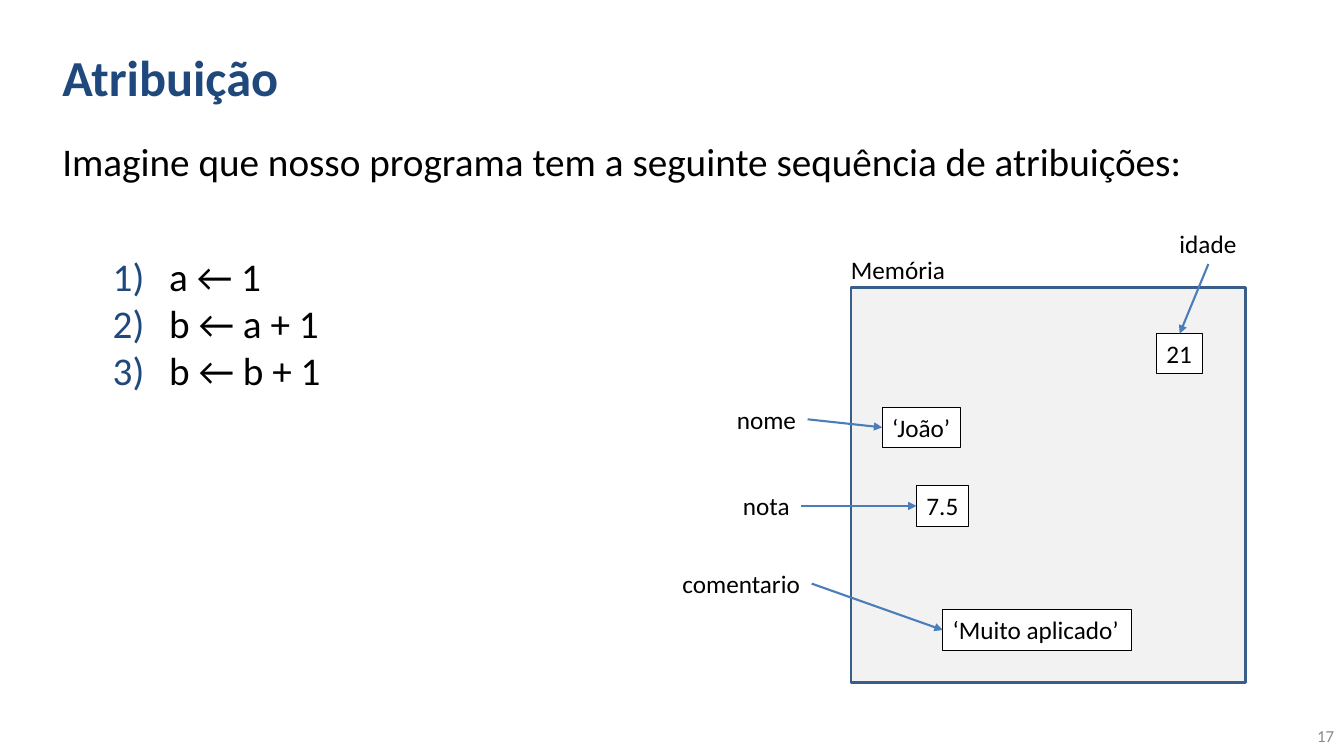
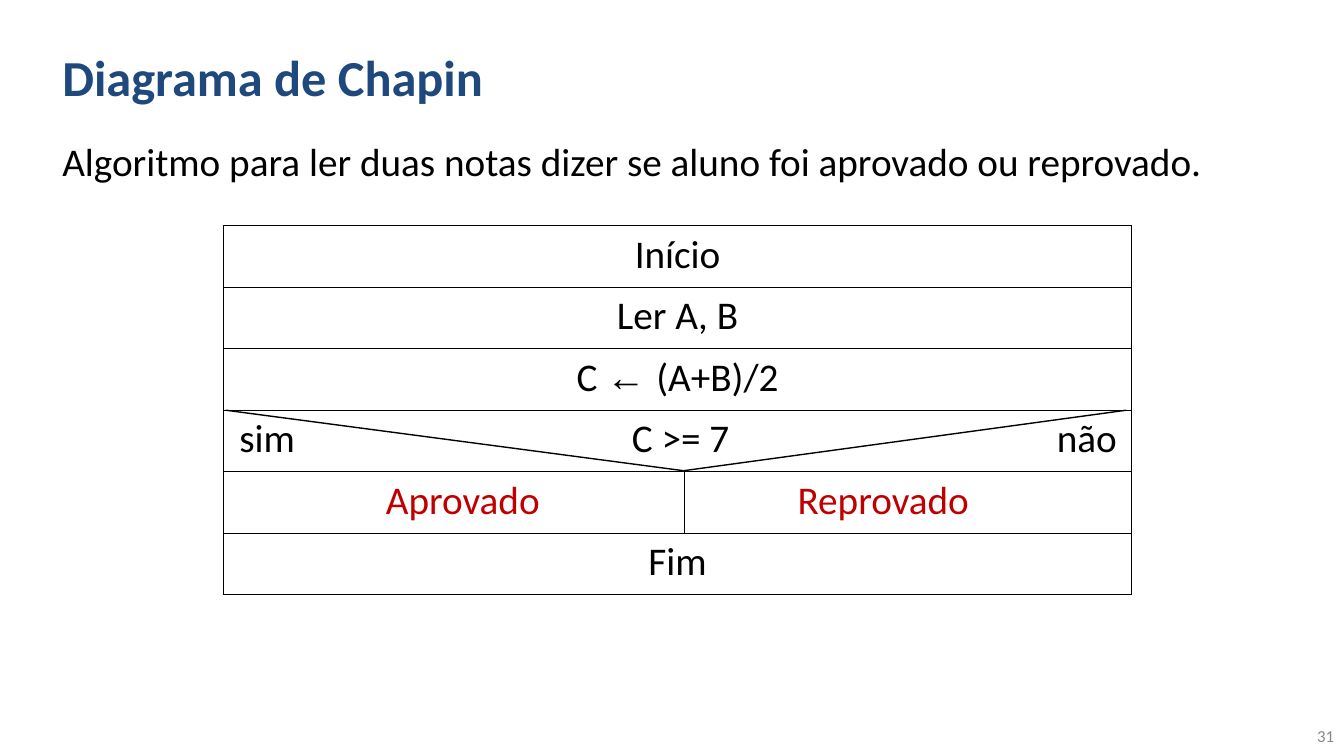
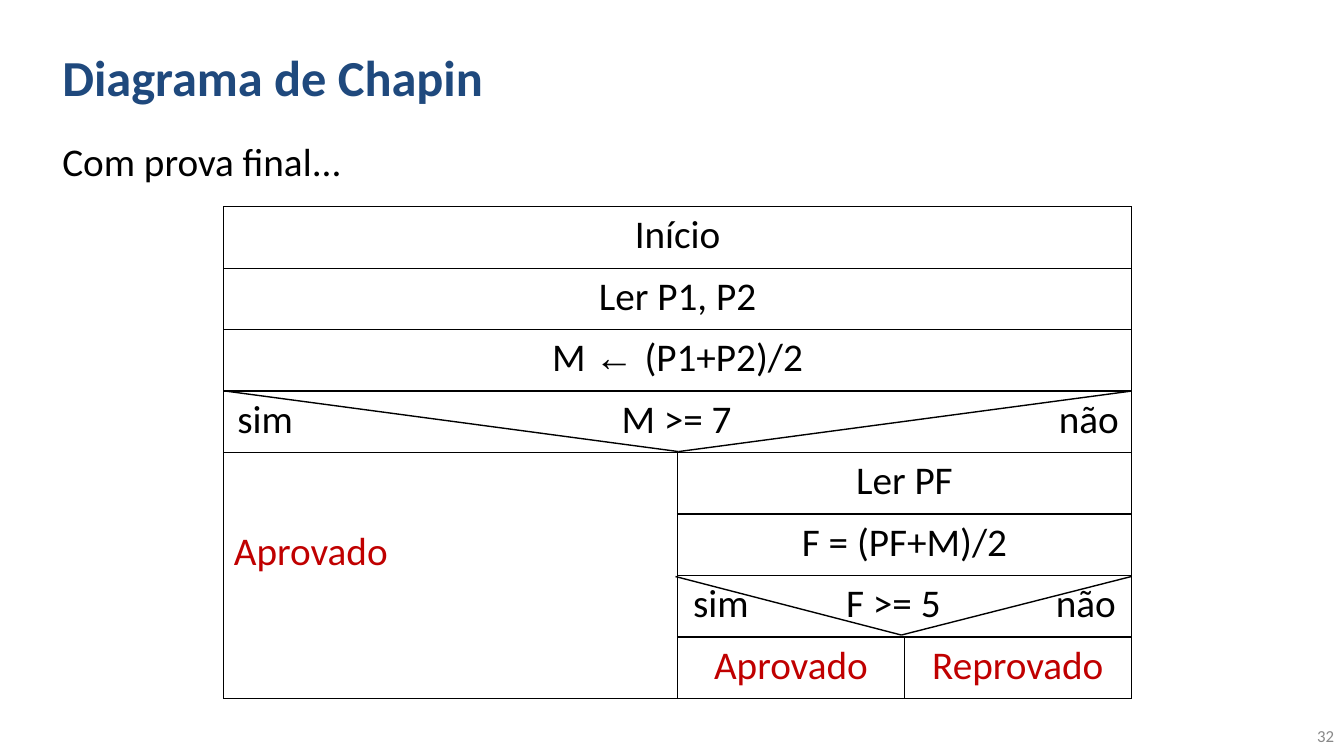
from dataclasses import dataclass

from lxml.etree import SubElement
from pptx import Presentation
from pptx.dml.color import RGBColor
from pptx.enum.shapes import MSO_CONNECTOR as Connector, MSO_SHAPE as Shape
from pptx.enum.text import MSO_ANCHOR as Anchor, PP_ALIGN as Align
from pptx.oxml import parse_xml
from pptx.oxml.ns import nsdecls, qn
from pptx.util import Inches, Pt

TOP, LEFT, BOTTOM, RIGHT = range(4)


@dataclass(frozen=True)
class Theme:
    navy: str = "1F497D"
    black: str = "000000"
    white: str = "FFFFFF"
    red: str = "C00000"
    grey: str = "888888"
    panel: str = "F2F2F2"
    panel_edge: str = "395E89"
    arrow: str = "4A7DBA"
    font: str = "Calibri"
    symbol_font: str = "Arial"
    title_size: int = 36
    body_size: int = 28
    label_size: int = 18
    number_size: int = 12


@dataclass(frozen=True)
class Cell:
    text: str
    row: int
    column: int = 0
    rows: int = 1
    columns: int = 1
    color: str = Theme.black
    tabs: tuple = ()  # centres of the words, from the cell's text edge
    align: Align = Align.CENTER
    bottom: float = 0.05


def rgb(value):
    return RGBColor.from_string(value)


def add_paragraph_part(para, xml):
    """Put bullet or tab settings in front of the paragraph's font."""
    para.font._element.addprevious(parse_xml(xml))


class Deck:
    def __init__(self, theme):
        self.theme = theme
        self.deck = Presentation()
        self.deck.slide_width = Inches(13.33)
        self.deck.slide_height = Inches(7.5)
        self.page = None

    # Shared frame: title, lead sentence, page number
    def add_page(self, title, lead, number):
        theme = self.theme
        self.page = self.deck.slides.add_slide(self.deck.slide_layouts[6])
        self.text(title, 0.52, 0.13, 10.58, 1.25, theme.title_size,
                  theme.navy, bold=True, anchor=Anchor.MIDDLE)
        self.text(lead, 0.52, 1.31, 12.4, 1.23, theme.body_size)
        self.text(number, 11, 7.1, 2.33, 0.4, theme.number_size, theme.grey,
                  align=Align.RIGHT, anchor=Anchor.MIDDLE)

    def style(self, para, size, color, bold=False, align=Align.LEFT):
        para.alignment = align
        para.font.name = self.theme.font
        para.font.size = Pt(size)
        para.font.bold = bold
        para.font.color.rgb = rgb(color)

    def text(self, text, x, y, width, height, size, color=Theme.black,
             bold=False, align=Align.LEFT, anchor=Anchor.TOP, wrap=True):
        box = self.page.shapes.add_textbox(
            Inches(x), Inches(y), Inches(width), Inches(height))
        frame = box.text_frame
        frame.word_wrap = wrap
        frame.vertical_anchor = anchor
        frame.text = text
        for para in frame.paragraphs:
            self.style(para, size, color, bold, align)
        return box

    def label(self, text, x, y, width):
        return self.text(text, x, y, width, 0.4, self.theme.label_size, wrap=False)

    def numbered_list(self, items, x, y, width, height):
        box = self.text("\n".join(items), x, y, width, height, self.theme.body_size)
        for para in box.text_frame.paragraphs:
            properties = para._p.get_or_add_pPr()
            properties.set("marL", str(Inches(1.06)))
            properties.set("indent", str(Inches(-0.56)))
            add_paragraph_part(para, f'<a:buClr {nsdecls("a")}>'
                               f'<a:srgbClr val="{self.theme.navy}"/></a:buClr>')
            add_paragraph_part(para, f'<a:buFont {nsdecls("a")} typeface="+mj-lt"/>')
            add_paragraph_part(para, f'<a:buAutoNum {nsdecls("a")} type="arabicParenR"/>')

    def rectangle(self, x, y, width, height, fill, edge, weight):
        box = self.page.shapes.add_shape(
            Shape.RECTANGLE, Inches(x), Inches(y), Inches(width), Inches(height))
        box.shadow.inherit = False
        box.fill.solid()
        box.fill.fore_color.rgb = rgb(fill)
        box.line.color.rgb = rgb(edge)
        box.line.width = Pt(weight)
        return box

    def value_box(self, text, x, y, width):
        theme = self.theme
        box = self.rectangle(x, y, width, 0.4, theme.white, theme.black, 0.75)
        box.text_frame.word_wrap = False
        box.text_frame.vertical_anchor = Anchor.TOP
        box.text_frame.text = text
        self.style(box.text_frame.paragraphs[0], theme.label_size, theme.black)
        return box

    def line(self, start=(0, 0), end=(0, 0), color=Theme.black, weight=1):
        line = self.page.shapes.add_connector(
            Connector.STRAIGHT, *(Inches(v) for v in (*start, *end)))
        line.line.color.rgb = rgb(color)
        line.line.width = Pt(weight)
        SubElement(line._element.spPr, qn("a:effectLst"))
        return line

    def arrow(self, source, source_side, target, target_side):
        line = self.line(color=self.theme.arrow, weight=1.5)
        line.begin_connect(source, source_side)
        line.end_connect(target, target_side)
        SubElement(line.line._get_or_add_ln(), qn("a:tailEnd"), type="triangle")

    def decision(self, left, middle, right, top, bottom):
        """The two slanted lines of a yes/no row."""
        for side in (left, right):
            self.line((side, top), (middle, bottom))

    # Chapin diagram: a bordered table with merged cells
    def chapin(self, x, y, widths, row_count, cells, row_height=0.61):
        table = self.page.shapes.add_table(
            row_count, len(widths), Inches(x), Inches(y),
            Inches(sum(widths)), Inches(row_count * row_height)).table
        table.first_row = table.horz_banding = False
        for column, width in zip(table.columns, widths):
            column.width = Inches(width)
        for row in table.rows:
            row.height = Inches(row_height)
        for cell in table.iter_cells():
            self.outline(cell)
            cell.fill.background()
        for item in cells:
            cell = table.cell(item.row, item.column)
            if item.rows * item.columns > 1:
                cell.merge(table.cell(item.row + item.rows - 1,
                                      item.column + item.columns - 1))
            self.fill_cell(cell, item)

    def outline(self, cell):
        properties = cell._tc.get_or_add_tcPr()
        for side in ("lnL", "lnR", "lnT", "lnB"):
            properties.append(parse_xml(
                f'<a:{side} {nsdecls("a")} w="{Pt(1)}"><a:solidFill>'
                f'<a:srgbClr val="{self.theme.black}"/></a:solidFill></a:{side}>'))

    def fill_cell(self, cell, item):
        if item.rows > 1:
            cell.vertical_anchor = Anchor.MIDDLE
        cell.margin_bottom = Inches(item.bottom)
        para = cell.text_frame.paragraphs[0]
        for part in item.text.partition("← "):
            if part:
                span = para.add_run()
                span.text = part
                if part == "← ":
                    span.font.name = self.theme.symbol_font
        self.style(para, self.theme.body_size, item.color,
                   align=Align.LEFT if item.tabs else item.align)
        if item.tabs:
            stops = "".join(f'<a:tab pos="{Inches(tab)}" algn="ctr"/>' for tab in item.tabs)
            add_paragraph_part(para, f'<a:tabLst {nsdecls("a")}>{stops}</a:tabLst>')


def assignment_page(deck):
    theme = deck.theme
    deck.add_page("Atribuição",
                  "Imagine que nosso programa tem a seguinte sequência de atribuições:", "17")
    deck.numbered_list(["a ← 1", "b ← a + 1", "b ← b + 1"], 0.52, 2.45, 2.83, 1.51)

    # Memory panel, with each variable pointing at its value
    deck.rectangle(8.44, 2.85, 3.91, 3.92, theme.panel, theme.panel_edge, 2)
    deck.label("Memória", 8.34, 2.47, 1.15)
    variables = [
        (("nome", 7.21, 3.96, 0.8), RIGHT, ("‘João’", 8.75, 4.04, 0.78), LEFT),
        (("nota", 7.27, 4.82, 0.67), RIGHT, ("7.5", 9.09, 4.82, 0.52), LEFT),
        (("comentario", 6.67, 5.59, 1.38), RIGHT, ("‘Muito aplicado’", 9.35, 6.05, 1.87), LEFT),
        (("idade", 11.6, 2.22, 0.77), BOTTOM, ("21", 11.47, 3.31, 0.46), TOP),
    ]
    for name, name_side, value, value_side in variables:
        deck.arrow(deck.label(*name), name_side, deck.value_box(*value), value_side)


def grades_page(deck):
    red = deck.theme.red
    deck.add_page("Diagrama de Chapin",
                  "Algoritmo para ler duas notas dizer se aluno foi aprovado ou reprovado.", "31")
    deck.chapin(2.22, 2.24, [9], 6, [
        Cell("Início", 0),
        Cell("Ler A, B", 1),
        Cell("C ← (A+B)/2", 2),
        Cell("\tsim\tC >= 7\tnão", 3, tabs=(0.33, 4.43, 8.46)),
        Cell("\tAprovado\tReprovado", 4, color=red, tabs=(2.27, 6.44)),
        Cell("Fim", 5),
    ])
    deck.decision(2.24, 6.78, 11.17, 4.07, 4.67)
    deck.line((6.79, 4.68), (6.79, 5.29))


def final_exam_page(deck):
    red = deck.theme.red
    deck.add_page("Diagrama de Chapin", "Com prova final...", "32")
    deck.chapin(2.22, 2.05, [4.5, 2.25, 2.25], 8, [
        Cell("Início", 0, columns=3),
        Cell("Ler P1, P2", 1, columns=3),
        Cell("M ← (P1+P2)/2", 2, columns=3),
        Cell("\tsim\tM >= 7\tnão", 3, columns=3, tabs=(0.31, 4.39, 8.48)),
        Cell("Aprovado", 4, rows=4, color=red, align=Align.LEFT, bottom=0.51),
        Cell("Ler PF", 4, 1, columns=2),
        Cell("F = (PF+M)/2", 5, 1, columns=2),
        Cell("\tsim\tF >= 5\tnão", 6, 1, columns=2, tabs=(0.33, 2.04, 3.95)),
        Cell("Aprovado", 7, 1, color=red),
        Cell("Reprovado", 7, 2, color=red),
    ])
    deck.decision(2.24, 6.73, 11.22, 3.88, 4.48)
    deck.decision(6.7, 8.94, 11.22, 5.72, 6.3)


def main():
    deck = Deck(Theme())
    assignment_page(deck)
    grades_page(deck)
    final_exam_page(deck)
    deck.deck.save("out.pptx")


if __name__ == "__main__":
    main()
